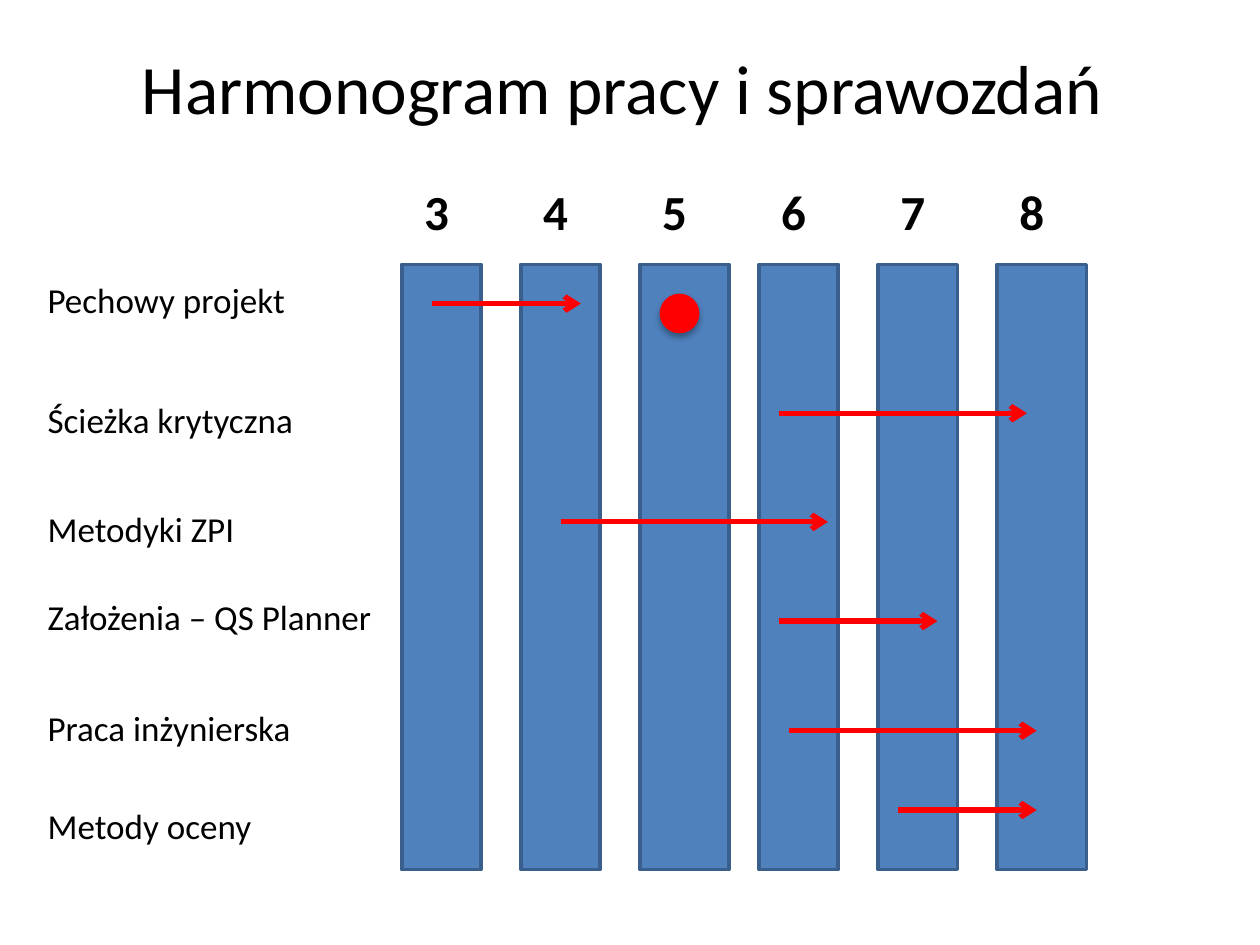
from pptx import Presentation
from pptx.dml.color import RGBColor as RGB
from pptx.enum.shapes import MSO_CONNECTOR as Link, MSO_SHAPE as Form
from pptx.enum.text import MSO_ANCHOR as Anchor, MSO_AUTO_SIZE as Auto, PP_ALIGN as Align
from pptx.oxml import parse_xml
from pptx.oxml.ns import nsdecls
from pptx.util import Cm, Pt

COLORS = {"text": "000000", "bar": "4F81BD", "edge": "3A5F8C", "mark": "FF0000"}
FONT = "Calibri"

WEEKS = range(3, 9)
WIDE = (5, 8)
LEFT, STEP = 8.1, 2.4

# task, label top, arrow height, arrow start, arrow end
TASKS = [
    ("Pechowy projekt", 5.49, 6.12, 8.71, 11.71),
    ("Ścieżka krytyczna", 7.9, 8.33, 15.7, 20.7),
    ("Metodyki ZPI", 10.11, 10.52, 11.3, 16.69),
    ("Założenia – QS Planner", 11.89, 12.52, 15.7, 18.9),
    ("Praca inżynierska", 14.12, 14.73, 15.9, 20.9),
    ("Metody oceny", 16.1, 16.33, 18.11, 20.9),
]


def color(key):
    return RGB.from_string(COLORS[key])


def write(frame, text, size=20, bold=False, align=Align.LEFT):
    par = frame.paragraphs[0]
    par.alignment = align
    run = par.add_run()
    run.text = text
    font = run.font
    font.name, font.size, font.bold = FONT, Pt(size), bold
    font.color.rgb = color("text")


def effects(body=""):
    return parse_xml(f'<a:effectLst {nsdecls("a")}>{body}</a:effectLst>')


class Board:
    def __init__(self, slide):
        self.slide = slide
        self.shapes = slide.shapes

    def title(self, text):
        box = self.shapes.title
        box.left, box.top, box.width, box.height = Cm(1.27), Cm(0.76), Cm(22.86), Cm(1.96)
        box.text_frame.vertical_anchor = Anchor.MIDDLE
        box.text_frame.auto_size = Auto.NONE
        write(box.text_frame, text, size=39.6, align=Align.CENTER)

    def label(self, text, x, y, w, h, **style):
        frame = self.shapes.add_textbox(Cm(x), Cm(y), Cm(w), Cm(h)).text_frame
        frame.word_wrap = True
        frame.auto_size = Auto.SHAPE_TO_FIT_TEXT
        write(frame, text, **style)

    def shape(self, form, x, y, w, h, fill, edge=None):
        item = self.shapes.add_shape(form, Cm(x), Cm(y), Cm(w), Cm(h))
        item.shadow.inherit = False
        item.fill.solid()
        item.fill.fore_color.rgb = color(fill)
        if edge:
            item.line.color.rgb = color(edge)
            item.line.width = Pt(2)
        else:
            item.line.fill.background()
        return item

    def dot(self, x, y, size):
        """Red milestone with a soft shadow below it."""
        props = self.shape(Form.OVAL, x, y, size, size, "mark")._element.spPr
        props.remove(props[-1])
        props.append(effects(
            f'<a:outerShdw blurRad="{Pt(3.5)}" dist="{Pt(2.2)}" dir="5400000" rotWithShape="0">'
            '<a:srgbClr val="000000"><a:alpha val="32000"/></a:srgbClr></a:outerShdw>'))

    def arrow(self, x, end, y):
        item = self.shapes.add_connector(Link.STRAIGHT, Cm(x), Cm(y), Cm(end), Cm(y))
        item.line.color.rgb = color("mark")
        item.line.width = Pt(3)
        item.line._get_or_add_ln().append(
            parse_xml(f'<a:tailEnd {nsdecls("a")} type="arrow"/>'))
        item._element.spPr.append(effects())


def main():
    deck = Presentation()
    deck.slide_width, deck.slide_height = Cm(25.4), Cm(19.05)
    board = Board(deck.slides.add_slide(deck.slide_layouts[5]))
    board.title("Harmonogram pracy i sprawozdań ")

    for i, week in enumerate(WEEKS):
        x = LEFT + i * STEP
        board.shape(Form.RECTANGLE, x, 5.33, 1.8 if week in WIDE else 1.6, 12.2, "bar", "edge")
        board.label(str(week), x + 0.2, 3.53, 2, 1.45, size=28, bold=True)

    for task, top, y, start, end in TASKS:
        board.label(task, 0.71, top, 7.4, 1.11)
        board.arrow(start, end, y)
    board.dot(13.3, 5.92, 0.8)

    deck.save("out.pptx")


if __name__ == "__main__":
    main()
